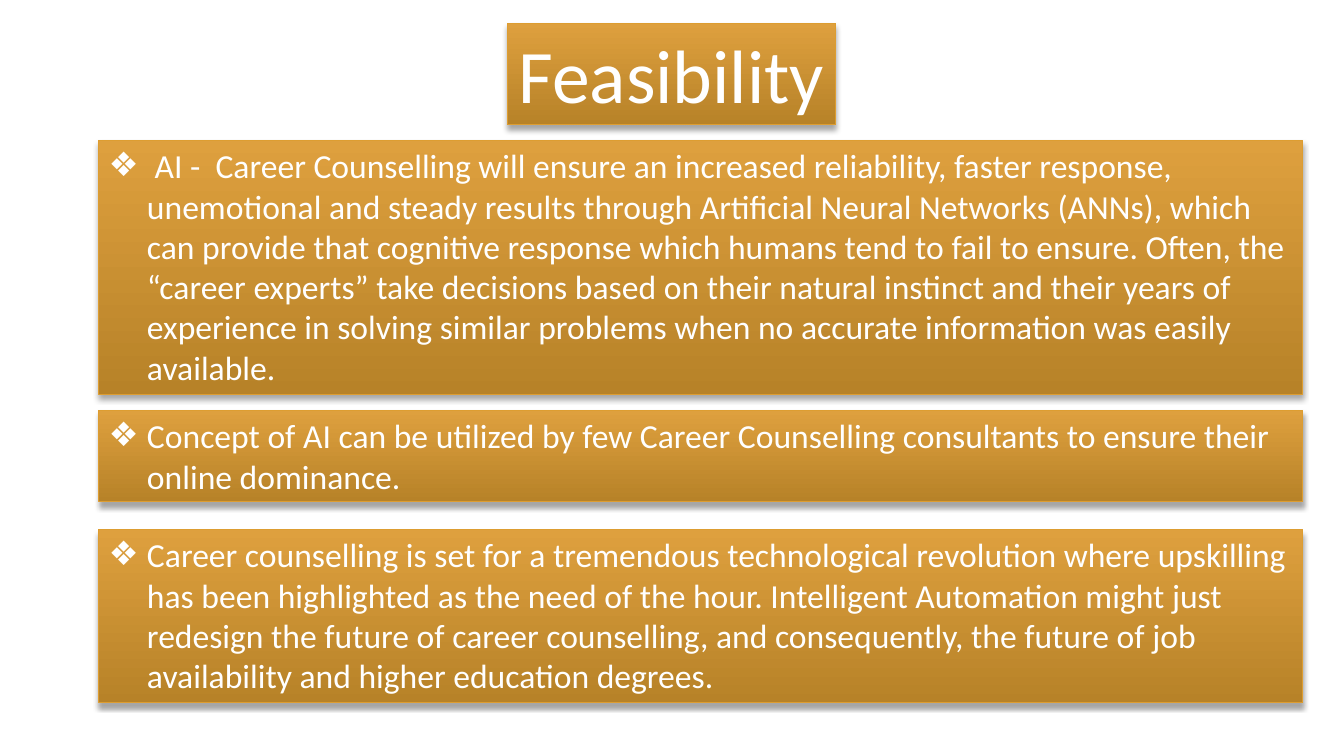
from lxml import etree
from pptx import Presentation
from pptx import util as u
from pptx.dml.color import RGBColor
from pptx.enum import shapes, text
from pptx.oxml.ns import qn

TITLE = "Feasibility"
TITLE_BOX = (5.03, 0.23, 3.26, 1.01)
PANEL_LEFT, PANEL_WIDTH = 0.98, 11.94
# top, height, wording
PANELS = [
    (1.39, 2.52,
     " AI -  Career Counselling will ensure an increased reliability, faster response, "
     "unemotional and steady results through Artificial Neural Networks (ANNs), which can "
     "provide that cognitive response which humans tend to fail to ensure. Often, the "
     "“career experts” take decisions based on their natural instinct and their years of "
     "experience in solving similar problems when no accurate information was easily "
     "available."),
    (4.07, 0.91,
     "Concept of AI can be utilized by few Career Counselling consultants to ensure their "
     "online dominance."),
    (5.25, 1.72,
     "Career counselling is set for a tremendous technological revolution where upskilling "
     "has been highlighted as the need of the hour. Intelligent Automation might just "
     "redesign the future of career counselling, and consequently, the future of job "
     "availability and higher education degrees."),
]

FONT = "Calibri"
BULLET = "❖"
BULLET_INDENT = u.Inches(0.38)
GOLD_TOP = RGBColor(0xDE, 0xA0, 0x3E)
GOLD_BOTTOM = RGBColor(0xB7, 0x82, 0x28)
GOLD_LINE = RGBColor(0xDD, 0x9D, 0x31)
WHITE = RGBColor(0xFF, 0xFF, 0xFF)
BLACK = RGBColor(0, 0, 0)


def add_color(parent, color):
    return etree.SubElement(parent, qn("a:srgbClr"), val=str(color))


def style_box(shape):
    """Apply the gold gradient, thin outline and soft drop shadow."""
    shape.fill.gradient()
    shape.fill.gradient_angle = 270
    for stop, color in zip(shape.fill.gradient_stops, (GOLD_TOP, GOLD_BOTTOM)):
        stop.color.rgb = color
    shape.line.color.rgb = GOLD_LINE
    shape.line.width = u.Pt(0.75)
    shape.shadow.inherit = False
    effects = shape._element.spPr.find(qn("a:effectLst"))
    shadow = etree.SubElement(
        effects, qn("a:outerShdw"), blurRad=str(u.Pt(4)), dist=str(u.Pt(3)),
        dir="5400000", rotWithShape="0")
    etree.SubElement(add_color(shadow, BLACK), qn("a:alpha"), val="35000")


def add_bullet(paragraph):
    properties = paragraph._p.get_or_add_pPr()
    properties.set("marL", str(BULLET_INDENT))
    properties.set("indent", str(-BULLET_INDENT))
    add_color(etree.SubElement(properties, qn("a:buClr")), WHITE)
    etree.SubElement(properties, qn("a:buFont"), typeface="Arial")
    etree.SubElement(properties, qn("a:buChar"), char=BULLET)


def write_text(shape, wording, size, alignment, bulleted=False):
    frame = shape.text_frame
    frame.word_wrap = bulleted
    frame.auto_size = text.MSO_AUTO_SIZE.NONE
    frame.vertical_anchor = text.MSO_ANCHOR.TOP
    paragraph = frame.paragraphs[0]
    paragraph.alignment = alignment
    if bulleted:
        add_bullet(paragraph)
    run = paragraph.add_run()
    run.text = wording
    run.font.name = FONT
    run.font.size = u.Pt(size)
    run.font.color.rgb = WHITE


def main():
    presentation = Presentation()
    presentation.slide_width = u.Inches(13.33)
    presentation.slide_height = u.Inches(7.5)
    slide = presentation.slides.add_slide(presentation.slide_layouts.get_by_name("Title Only"))

    title = slide.shapes.title
    title.left, title.top, title.width, title.height = map(u.Inches, TITLE_BOX)
    style_box(title)
    write_text(title, TITLE, 54, text.PP_ALIGN.CENTER)

    for top, height, wording in PANELS:
        panel = slide.shapes.add_shape(
            shapes.MSO_SHAPE.RECTANGLE,
            *map(u.Inches, (PANEL_LEFT, top, PANEL_WIDTH, height)))
        style_box(panel)
        write_text(panel, wording, 24, text.PP_ALIGN.LEFT, bulleted=True)

    presentation.save("out.pptx")


if __name__ == "__main__":
    main()
